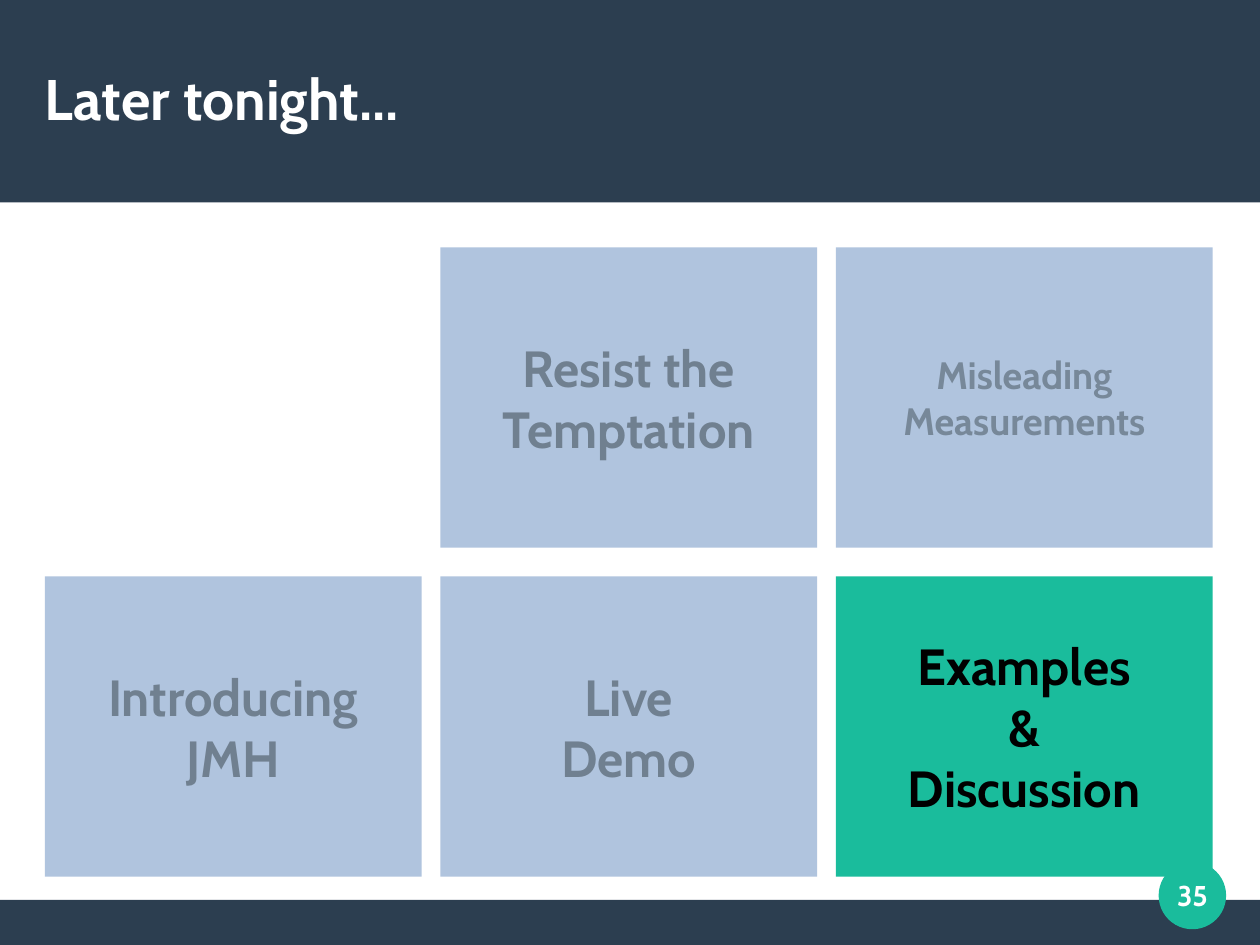
"""Build the "Later tonight..." agenda slide with its grid of topic cards."""
from pptx import Presentation
from pptx import util as u
from pptx.dml.color import RGBColor
from pptx.enum import shapes, text

THEME = {
    "font": "Cabin",
    "navy": "2C3E50", "teal": "1ABC9C", "pale": "B0C4DE", "white": "FFFFFF",
    "slate": "708090", "light_slate": "778899", "black": "000000",
    "title": 36, "card": 32, "small_card": 24, "number": 18,
}
WIDTH, HEIGHT = 28, 21
MARGIN = 1
CARD_WIDTH, CARD_HEIGHT = 8.37, 6.67
COLUMN_STEP, ROW_STEP = 8.79, 7.31
GRID_TOP = 5.5

presentation = Presentation()
presentation.slide_width, presentation.slide_height = u.Emu(10080625), u.Emu(7559675)
slide = presentation.slides.add_slide(presentation.slide_layouts[6])


def add_block(kind, color, *box):
    shape = slide.shapes.add_shape(kind, *map(u.Cm, box))
    shape.shadow.inherit = False
    shape.fill.solid()
    shape.fill.fore_color.rgb = RGBColor.from_string(THEME[color])
    shape.line.fill.background()
    return shape


def write(shape, lines, size, color, alignment=text.PP_ALIGN.CENTER, space_after=0):
    frame = shape.text_frame
    frame.word_wrap = True
    frame.vertical_anchor = text.MSO_ANCHOR.MIDDLE
    frame.margin_left = frame.margin_right = frame.margin_top = frame.margin_bottom = 0
    paragraph = frame.paragraphs[0]
    paragraph.alignment = alignment
    paragraph.space_after = u.Pt(space_after)
    for index, line in enumerate(lines):
        if index:
            paragraph.add_line_break()
        run = paragraph.add_run()
        run.text = line
        run.font.name = THEME["font"]
        run.font.size = u.Pt(THEME[size])
        run.font.bold = True
        run.font.color.rgb = RGBColor.from_string(THEME[color])


RECTANGLE = shapes.MSO_SHAPE.RECTANGLE
add_block(RECTANGLE, "navy", 0, HEIGHT - 1, WIDTH, 1)
add_block(RECTANGLE, "navy", 0, 0, WIDTH, 4.5)
add_block(shapes.MSO_SHAPE.OVAL, "teal", 25.75, 19.15, 1.5, 1.5)

title = slide.shapes.add_textbox(*map(u.Cm, (MARGIN, 0.96, WIDTH - 2 * MARGIN, 2.41)))
write(title, ["Later tonight..."], "title", "white", text.PP_ALIGN.LEFT)

cards = [
    (1, 0, ["Resist the", "Temptation"], "pale", "card", "slate"),
    (2, 0, ["Misleading Measurements"], "pale", "small_card", "light_slate"),
    (2, 1, ["Examples", "&", "Discussion"], "teal", "card", "black"),
    (1, 1, ["Live", "Demo"], "pale", "card", "slate"),
    (0, 1, ["Introducing", "JMH"], "pale", "card", "slate"),
]
for column, row, lines, fill, size, color in cards:
    card = add_block(RECTANGLE, fill, MARGIN + column * COLUMN_STEP,
                     GRID_TOP + row * ROW_STEP, CARD_WIDTH, CARD_HEIGHT)
    write(card, lines, size, color, space_after=14.1)

number = slide.shapes.add_textbox(*map(u.Cm, (25.5, 18.9, 2, 2)))
write(number, ["35"], "number", "white")

presentation.save("out.pptx")
